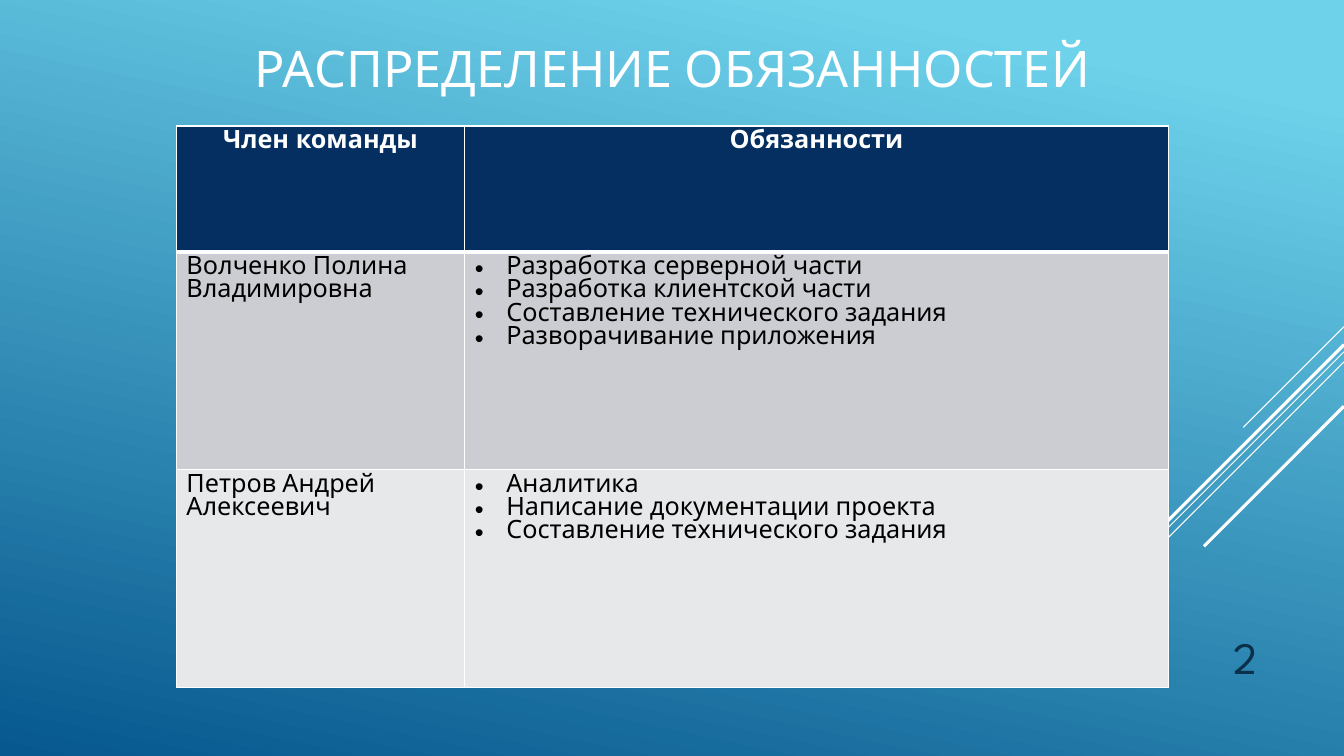
"""Build the slide on how duties are shared in the team."""
from lxml.etree import SubElement
from pptx import Presentation
from pptx.dml.color import RGBColor
from pptx.enum.shapes import MSO_CONNECTOR
from pptx.enum.text import MSO_ANCHOR, PP_ALIGN
from pptx.oxml import parse_xml
from pptx.oxml.ns import nsdecls, qn
from pptx.util import Pt

TITLE = "РАСПРЕДЕЛЕНИЕ ОБЯЗАННОСТЕЙ"
PAGE = "2"
HEADS = ["Член команды", "Обязанности"]
TEAM = [
    ("Волченко Полина Владимировна", [
        "Разработка серверной части",
        "Разработка клиентской части",
        "Составление технического задания",
        "Разворачивание приложения",
    ]),
    ("Петров Андрей Алексеевич", [
        "Аналитика",
        "Написание документации проекта",
        "Составление технического задания",
    ]),
]

THEME = {
    "font": "League Spartan", "title": 36, "page": 32, "body": 18,
    "white": "FFFFFF", "black": "000000", "ink": "0A304A", "head": "052F61",
    "bands": ["CCCDD2", "E7E8EA"], "sky": [(0.1, "6ED2EB"), (1, "06588E")],
}
WIDE, HIGH = 960, 540
COLS = [206, 502.5]
ROWS = [90, 155.5, 155.5]
INDENT = 22.5
RAYS = [(233.3, 72, 0.75), (251.3, 234.7, 0.75), (258.5, 149, 0.75),
        (246.2, 137.5, 2.25), (290.2, 100, 2.25)]


def tint(name):
    return RGBColor.from_string(THEME.get(name, name))


def style(para, size, color, align=PP_ALIGN.LEFT, bold=False):
    para.alignment = align
    font = para.font
    font.name, font.size, font.bold = THEME["font"], Pt(THEME[size]), bold
    font.color.rgb = tint(color)


def bullet(para):
    props = para._p.get_or_add_pPr()
    props.set("marL", str(Pt(INDENT)))
    props.set("indent", str(-Pt(INDENT)))
    SubElement(props, qn("a:buFont")).set("typeface", "Arial")
    SubElement(props, qn("a:buChar")).set("char", "•")


def border(cell, top, base):
    props = cell._tc.get_or_add_tcPr()
    for spot, (side, width) in enumerate(zip("LRTB", (1, 1, top, base))):
        props.insert(spot, parse_xml(
            f'<a:ln{side} {nsdecls("a")} w="{Pt(width)}"><a:solidFill>'
            f'<a:srgbClr val="{THEME["white"]}"/></a:solidFill></a:ln{side}>'))


def write(cell, lines, fill, color, marks=False, **looks):
    cell.fill.solid()
    cell.fill.fore_color.rgb = tint(fill)
    cell.text_frame.text = "\n".join(lines)
    for para in cell.text_frame.paragraphs:
        if marks:
            bullet(para)
        style(para, "body", color, **looks)


def add_sky(slide):
    fill = slide.background.fill
    fill.gradient()
    fill.gradient_angle = 258
    for stop, (place, color) in zip(fill.gradient_stops, THEME["sky"]):
        stop.position = place
        stop.color.rgb = tint(color)


def add_rays(slide):
    for top, run, width in RAYS:
        ray = slide.shapes.add_connector(
            MSO_CONNECTOR.STRAIGHT, Pt(WIDE), Pt(top), Pt(WIDE - run), Pt(top + run))
        ray.line.color.rgb = tint("white")
        ray.line.width = Pt(width)
        SubElement(ray._element.spPr, qn("a:effectLst"))


def add_title(slide):
    title = slide.shapes.title
    title.left, title.top, title.width, title.height = map(Pt, (168.5, 7.2, 623.5, 81.4))
    frame = title.text_frame
    frame.text = TITLE
    frame.vertical_anchor = MSO_ANCHOR.MIDDLE
    style(frame.paragraphs[0], "title", "white", PP_ALIGN.CENTER)


def add_page(slide):
    frame = slide.shapes.add_textbox(*map(Pt, (815.8, 439.2, 90, 52.6))).text_frame
    frame.word_wrap = True
    frame.vertical_anchor = MSO_ANCHOR.BOTTOM
    frame.text = PAGE
    style(frame.paragraphs[0], "page", "ink", PP_ALIGN.RIGHT)


def add_team(slide):
    table = slide.shapes.add_table(
        len(ROWS), len(COLS), Pt(126), Pt(90), Pt(sum(COLS)), Pt(sum(ROWS))).table
    for col, width in zip(table.columns, COLS):
        col.width = Pt(width)
    for row, height in zip(table.rows, ROWS):
        row.height = Pt(height)
    for col, head in enumerate(HEADS):
        write(table.cell(0, col), [head], "head", "white", align=PP_ALIGN.CENTER, bold=True)
    for row, ((name, duties), band) in enumerate(zip(TEAM, THEME["bands"]), 1):
        write(table.cell(row, 0), [name], band, "black")
        write(table.cell(row, 1), duties, band, "black", marks=True)
    for row in range(len(ROWS)):
        for col in range(len(COLS)):
            border(table.cell(row, col), 3 if row == 1 else 1, 3 if row == 0 else 1)


def main():
    deck = Presentation()
    deck.slide_width, deck.slide_height = Pt(WIDE), Pt(HIGH)
    slide = deck.slides.add_slide(deck.slide_layouts[5])
    for add in (add_sky, add_rays, add_title, add_page, add_team):
        add(slide)
    deck.save("out.pptx")


if __name__ == "__main__":
    main()
